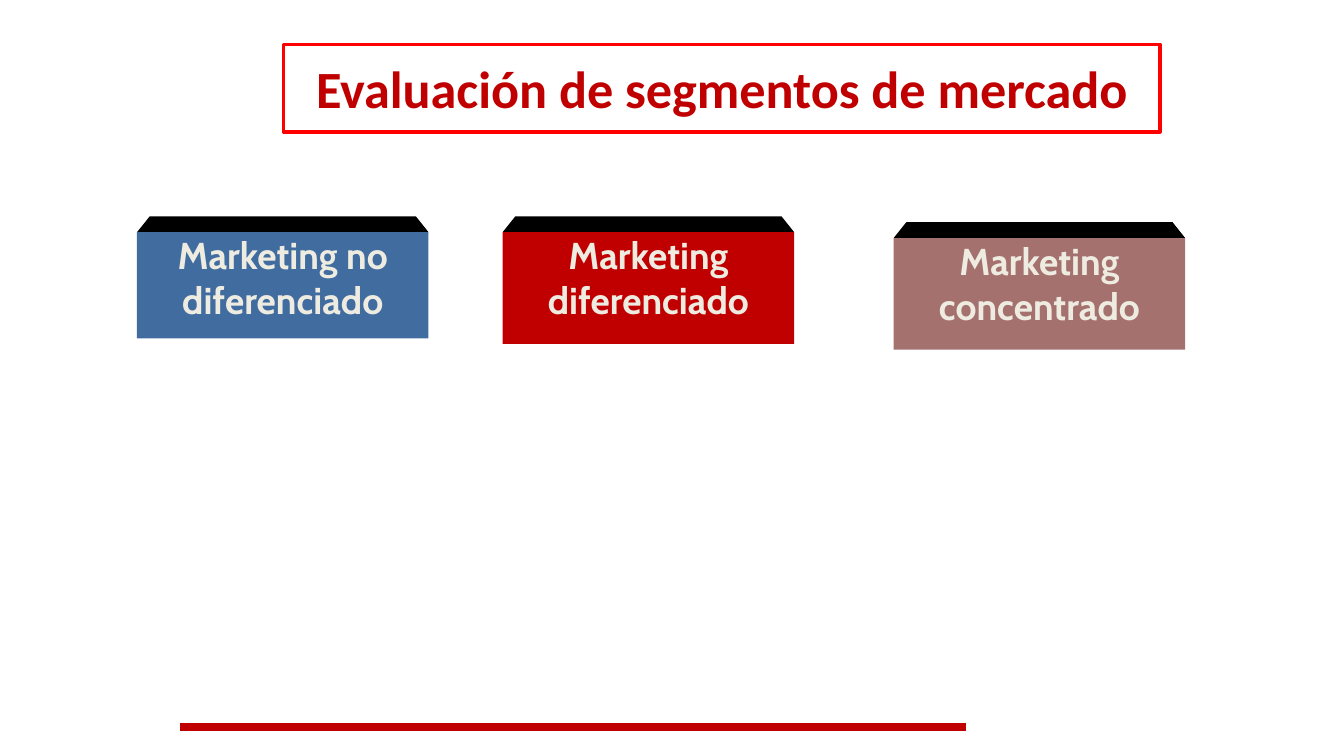
import pptx
import pptx.dml.color
import pptx.enum.shapes
import pptx.enum.text
import pptx.oxml
import pptx.oxml.ns
import pptx.util

Cm = pptx.util.Cm
Pt = pptx.util.Pt
Shape = pptx.enum.shapes.MSO_SHAPE
Anchor = pptx.enum.text.MSO_ANCHOR


def color(value):
    return pptx.dml.color.RGBColor.from_string(value)


def add_block(slide, kind, left, top, width, height, fill):
    shape = slide.shapes.add_shape(kind, Cm(left), Cm(top), Cm(width), Cm(height))
    shape.shadow.inherit = False
    shape.fill.solid()
    shape.fill.fore_color.rgb = color(fill)
    shape.line.fill.background()
    return shape


def write_text(shape, text, font_name, size, font_color, anchor):
    text_frame = shape.text_frame
    text_frame.word_wrap = True
    text_frame.vertical_anchor = anchor
    text_frame.text = text
    paragraph = text_frame.paragraphs[0]
    paragraph.alignment = pptx.enum.text.PP_ALIGN.CENTER
    font = paragraph.runs[0].font
    font.name = font_name
    font.size = Pt(size)
    font.bold = True
    font.color.rgb = color(font_color)


def add_title(slide, left, top, width, height):
    shape = add_block(slide, Shape.RECTANGLE, left, top, width, height, "FFFFFF")
    shape.line.color.rgb = color("FF0000")
    shape.line.width = Pt(2)
    write_text(shape, "Evaluación de segmentos de mercado", "Calibri", 28, "C00000", Anchor.MIDDLE)


def add_strategy(slide, left, top, width, height, text, fill):
    bevel_height = 0.3
    bevel = add_block(slide, Shape.TRAPEZOID, left, top - bevel_height, width, bevel_height, "000000")
    bevel.adjustments[0] = 0.8
    shape = add_block(slide, Shape.RECTANGLE, left, top, width, height, fill)
    text_frame = shape.text_frame
    text_frame.margin_left = text_frame.margin_right = Cm(0.25)
    text_frame.margin_top = 0
    text_frame.margin_bottom = Cm(0.13)
    write_text(shape, text, "Cabin", 20, "EEECE1", Anchor.TOP)


def add_footer_rule(slide, left, top, width):
    connector = slide.shapes.add_connector(
        pptx.enum.shapes.MSO_CONNECTOR.STRAIGHT, Cm(left), Cm(top), Cm(left + width), Cm(top)
    )
    connector.line.color.rgb = color("C00000")
    connector.line.width = Pt(4.5)
    properties = connector._element.spPr
    properties.append(pptx.oxml.parse_xml(f"<a:effectLst {pptx.oxml.ns.nsdecls('a')}/>"))


def main():
    presentation = pptx.Presentation()
    presentation.slide_width = Cm(25.4)
    presentation.slide_height = Cm(14.29)
    slide = presentation.slides.add_slide(presentation.slide_layouts[6])

    add_footer_rule(slide, 3.4, 13.74, 14.86)
    add_title(slide, 5.36, 0.84, 16.56, 1.65)
    strategies = [
        (2.59, 4.39, 2.01, "Marketing no diferenciado", "416CA0"),
        (9.5, 4.39, 2.11, "Marketing diferenciado", "C00000"),
        (16.89, 4.5, 2.11, "Marketing concentrado", "A5716E"),
    ]
    for left, top, height, text, fill in strategies:
        add_strategy(slide, left, top, 5.51, height, text, fill)

    presentation.save("out.pptx")


if __name__ == "__main__":
    main()
